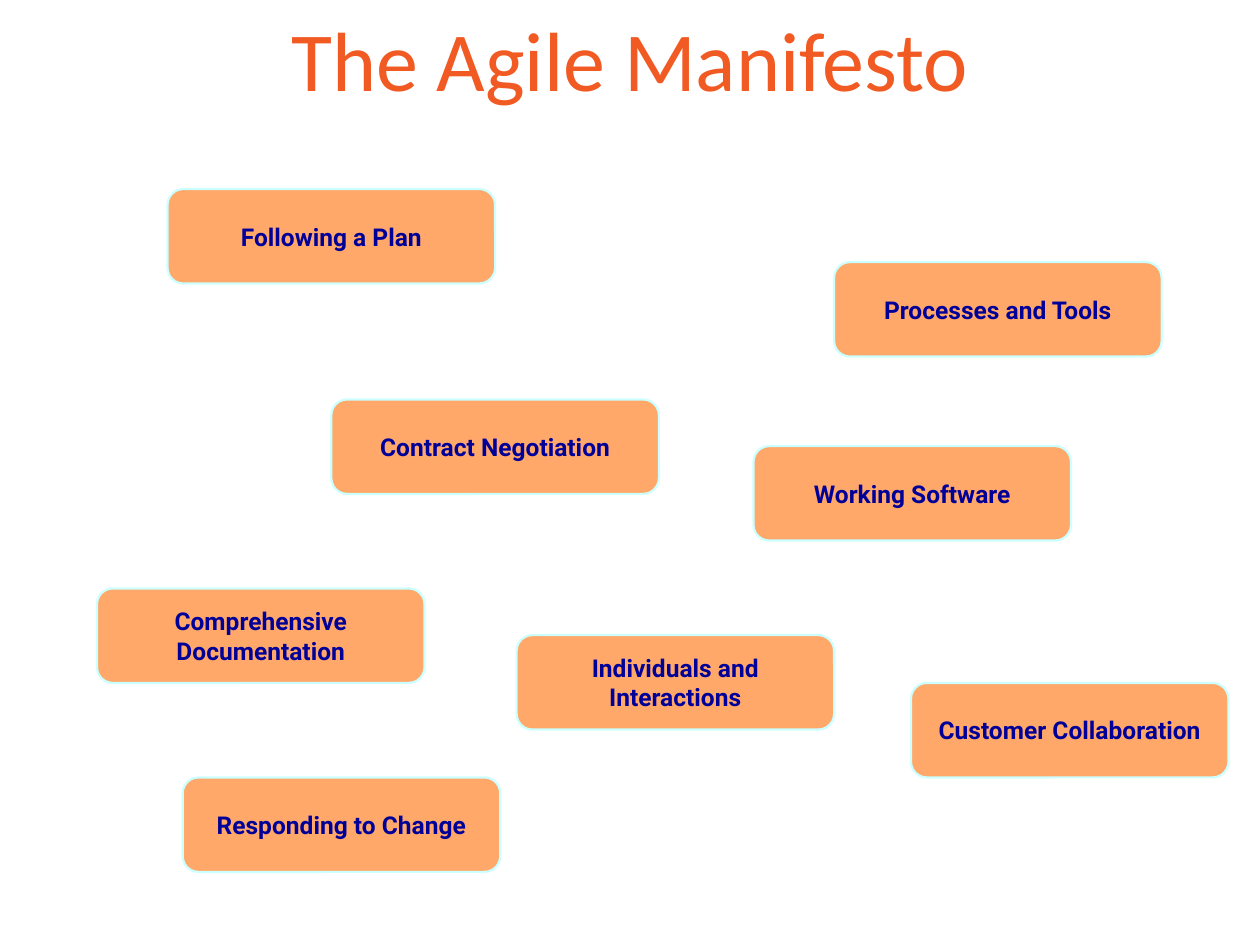
from pptx import Presentation
from pptx import util as u
from pptx.dml.color import RGBColor
from pptx.enum import shapes, text

COLORS = {"title": "F15A22", "card": "FFA86A", "border": "CCFFFF", "label": "000099"}
TITLE = {"name": "Calibri", "size": u.Pt(48)}
LABEL = {"name": "Roboto", "size": u.Pt(14), "bold": True}
WIDE, NARROW = 2.6, 2.52
CARD_H, PAD = 0.75, 0.04
LINE_HEIGHTS = {1: 0.32, 2: 0.56}

CARDS = [
    ("Responding to Change", 1.45, 6.17, NARROW, 1),
    ("Following a Plan", 1.33, 1.5, WIDE, 1),
    ("Customer Collaboration", 7.23, 5.42, NARROW, 1),
    ("Contract Negotiation", 2.63, 3.17, WIDE, 1),
    ("Individuals and Interactions", 4.1, 5.04, NARROW, 2),
    ("Processes and Tools", 6.62, 2.08, WIDE, 1),
    ("Working Software", 5.98, 3.54, NARROW, 1),
    ("Comprehensive Documentation", 0.77, 4.67, WIDE, 2),
]


class Deck:
    """Holds the style and the current slide, and draws its elements."""

    def __init__(self, prs):
        self.colors = {k: RGBColor.from_string(v) for k, v in COLORS.items()}
        self.s = prs.slides.add_slide(prs.slide_layouts[6])

    def text(self, parent, words, box, inset, color, font):
        sp = parent.add_textbox(*map(u.Inches, box))
        tf = sp.text_frame
        frame = {"word_wrap": True, "vertical_anchor": text.MSO_ANCHOR.MIDDLE}
        for side in ("left", "top", "right", "bottom"):
            frame[f"margin_{side}"] = u.Inches(inset)
        for key, value in frame.items():
            setattr(tf, key, value)
        p = tf.paragraphs[0]
        p.alignment = text.PP_ALIGN.CENTER
        r = p.add_run()
        r.text = words
        for key, value in font.items():
            setattr(r.font, key, value)
        r.font.color.rgb = self.colors[color]

    def title(self, words):
        self.text(self.s.shapes, words, (0, 0, 10, 0.92), 0.1, "title", TITLE)

    def card(self, words, x, y, w, lines):
        group = self.s.shapes.add_group_shape().shapes
        sp = group.add_shape(shapes.MSO_SHAPE.ROUNDED_RECTANGLE,
                             *map(u.Inches, (x, y, w, CARD_H)))
        sp.adjustments[0] = 0.167
        sp.shadow.inherit = False
        sp.fill.solid()
        sp.fill.fore_color.rgb = self.colors["card"]
        sp.line.color.rgb = self.colors["border"]
        sp.line.width = u.Pt(1.25)
        h = LINE_HEIGHTS[lines]
        box = (x + PAD, y + (CARD_H - h) / 2, w - 2 * PAD, h)
        self.text(group, words, box, PAD, "label", LABEL)


def main():
    prs = Presentation()
    prs.slide_width, prs.slide_height = u.Inches(10), u.Inches(7.5)
    deck = Deck(prs)
    deck.title("The Agile Manifesto")
    for card in CARDS:
        deck.card(*card)
    prs.save("out.pptx")


if __name__ == "__main__":
    main()
